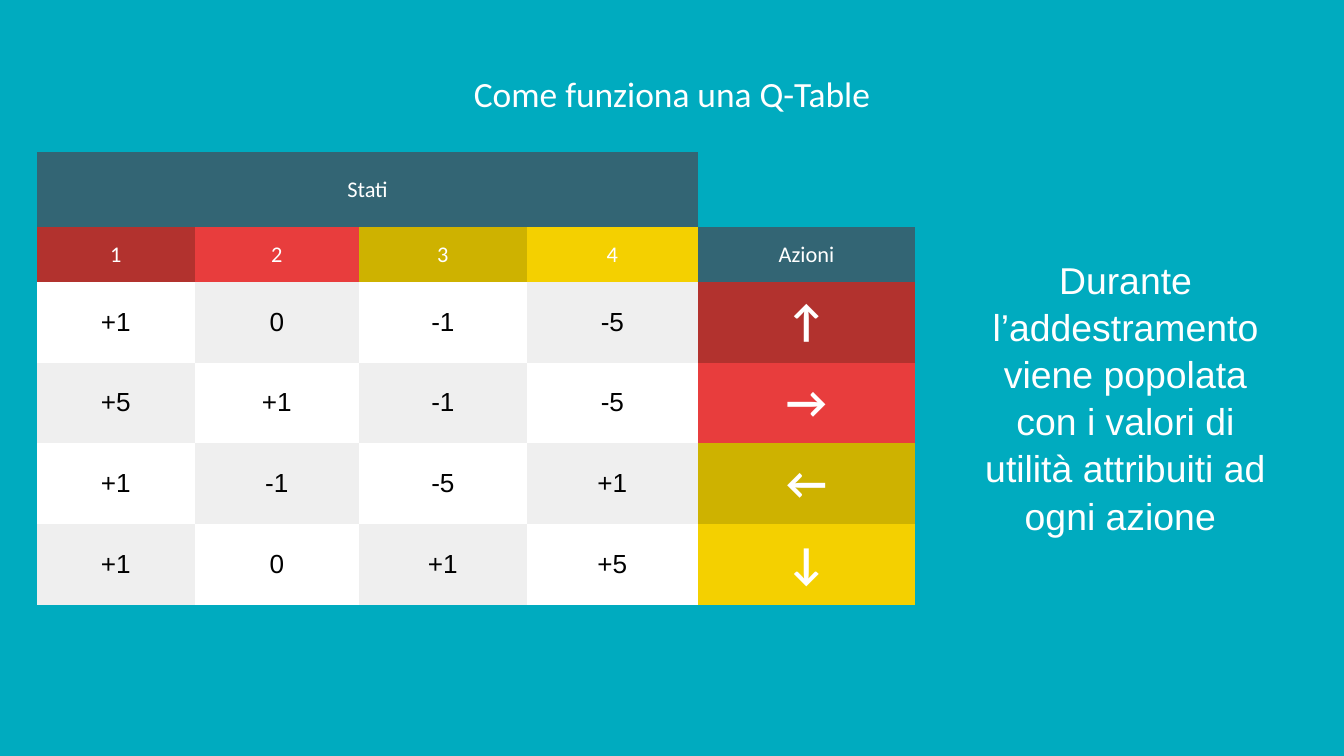
from pptx import Presentation
from pptx.dml.color import RGBColor
from pptx.enum.text import MSO_ANCHOR, PP_ALIGN
from pptx.oxml.ns import qn
from pptx.util import Pt

WHITE, BLACK, GREY = "FFFFFF", "000000", "EFEFEF"
TEAL, SLATE = "00ABBF", "336574"
HUES = ["B2322E", "E83D3D", "CEB200", "F4D000"]
ARROWS = "↑→←↓"
VALUES = [
    ["+1", "0", "-1", "-5"],
    ["+5", "+1", "-1", "-5"],
    ["+1", "-1", "-5", "+1"],
    ["+1", "0", "+1", "+5"],
]
WIDTHS = [84.4, 88, 90, 91.6, 116.4]
HEIGHTS = [40.2, 29.4] + [41.75] * 4
PLAIN = "{2D5ABB26-0587-4C30-8999-92F81FD0307C}"


def tint(code):
    return RGBColor.from_string(code)


class Deck:
    head = "Calibri"
    body = "Arial"
    inset = 7.2

    def __init__(self, wide, high):
        self.file = Presentation()
        self.file.slide_width, self.file.slide_height = Pt(wide), Pt(high)
        self.slide = self.file.slides.add_slide(self.file.slide_layouts[6])
        fill = self.slide.background.fill
        fill.solid()
        fill.fore_color.rgb = tint(TEAL)

    def label(self, frame, text, size, font, color=WHITE, bold=False):
        para = frame.paragraphs[0]
        para.alignment = PP_ALIGN.CENTER
        run = para.add_run()
        run.text = text
        run.font.size = Pt(size)
        run.font.name = font
        run.font.bold = bold
        run.font.color.rgb = tint(color)
        return para

    def text(self, place, text, size, font, pad, lead=1.0):
        box = self.slide.shapes.add_textbox(*map(Pt, place))
        frame = box.text_frame
        frame.word_wrap = True
        frame.margin_top = frame.margin_bottom = Pt(pad)
        para = self.label(frame, text, size, font)
        para.line_spacing = lead

    def table(self, left, top, widths, heights):
        frame = self.slide.shapes.add_table(
            len(heights), len(widths), Pt(left), Pt(top),
            Pt(sum(widths)), Pt(sum(heights)))
        for node in frame.element.iter(qn("a:tableStyleId")):
            node.text = PLAIN
        grid = frame.table
        grid.first_row = grid.horz_banding = False
        for col, width in zip(grid.columns, widths):
            col.width = Pt(width)
        for row, height in zip(grid.rows, heights):
            row.height = Pt(height)
        return grid

    def cell(self, cell, text, fill, size=12, font=head, color=WHITE, bold=False):
        cell.fill.solid()
        cell.fill.fore_color.rgb = tint(fill)
        cell.vertical_anchor = MSO_ANCHOR.MIDDLE
        cell.margin_left = cell.margin_right = Pt(self.inset)
        cell.margin_top = cell.margin_bottom = Pt(self.inset)
        self.label(cell.text_frame, text, size, font, color, bold)


def main():
    deck = Deck(720, 405)
    deck.text((56, 31.7, 608, 45.4), "Come funziona una Q-Table", 19, deck.head, 7.2)

    grid = deck.table(19.9, 81.4, WIDTHS, HEIGHTS)
    grid.cell(0, 0).merge(grid.cell(0, 3))
    deck.cell(grid.cell(0, 0), "Stati", SLATE)
    grid.cell(0, 4).fill.background()
    deck.cell(grid.cell(1, 4), "Azioni", SLATE)
    for i, hue in enumerate(HUES):
        deck.cell(grid.cell(1, i), str(i + 1), hue)
        deck.cell(grid.cell(i + 2, 4), ARROWS[i], hue, 24, bold=True)
        for j, value in enumerate(VALUES[i]):
            fill = GREY if (i + j) % 2 else WHITE
            deck.cell(grid.cell(i + 2, j), value, fill, 14, deck.body, BLACK)

    deck.text(
        (519, 133.2, 168, 152.6),
        "Durante l’addestramento viene popolata con i valori di "
        "utilità attribuiti ad ogni azione ",
        20, deck.body, 3.6, 1.05)
    deck.file.save("out.pptx")


if __name__ == "__main__":
    main()
